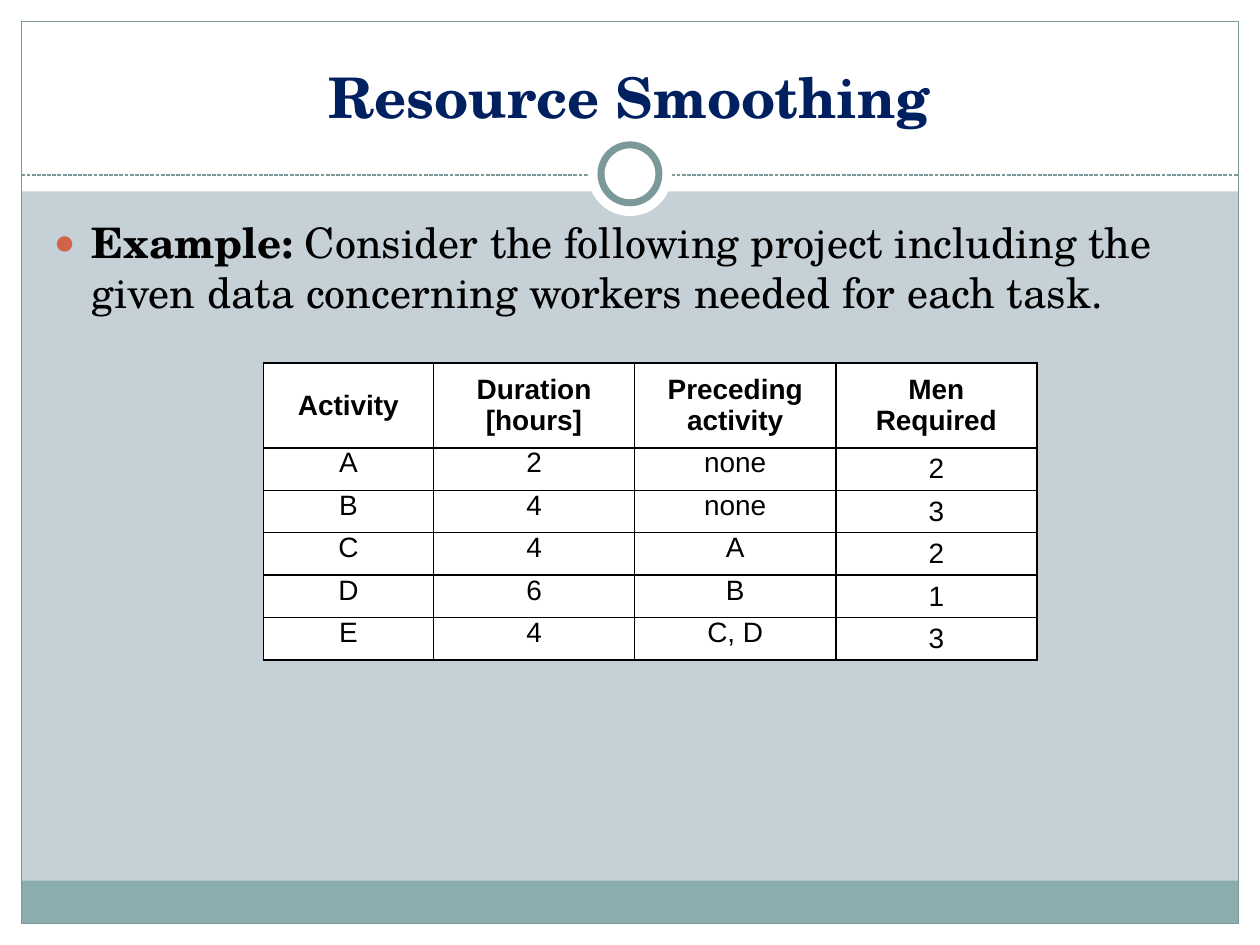
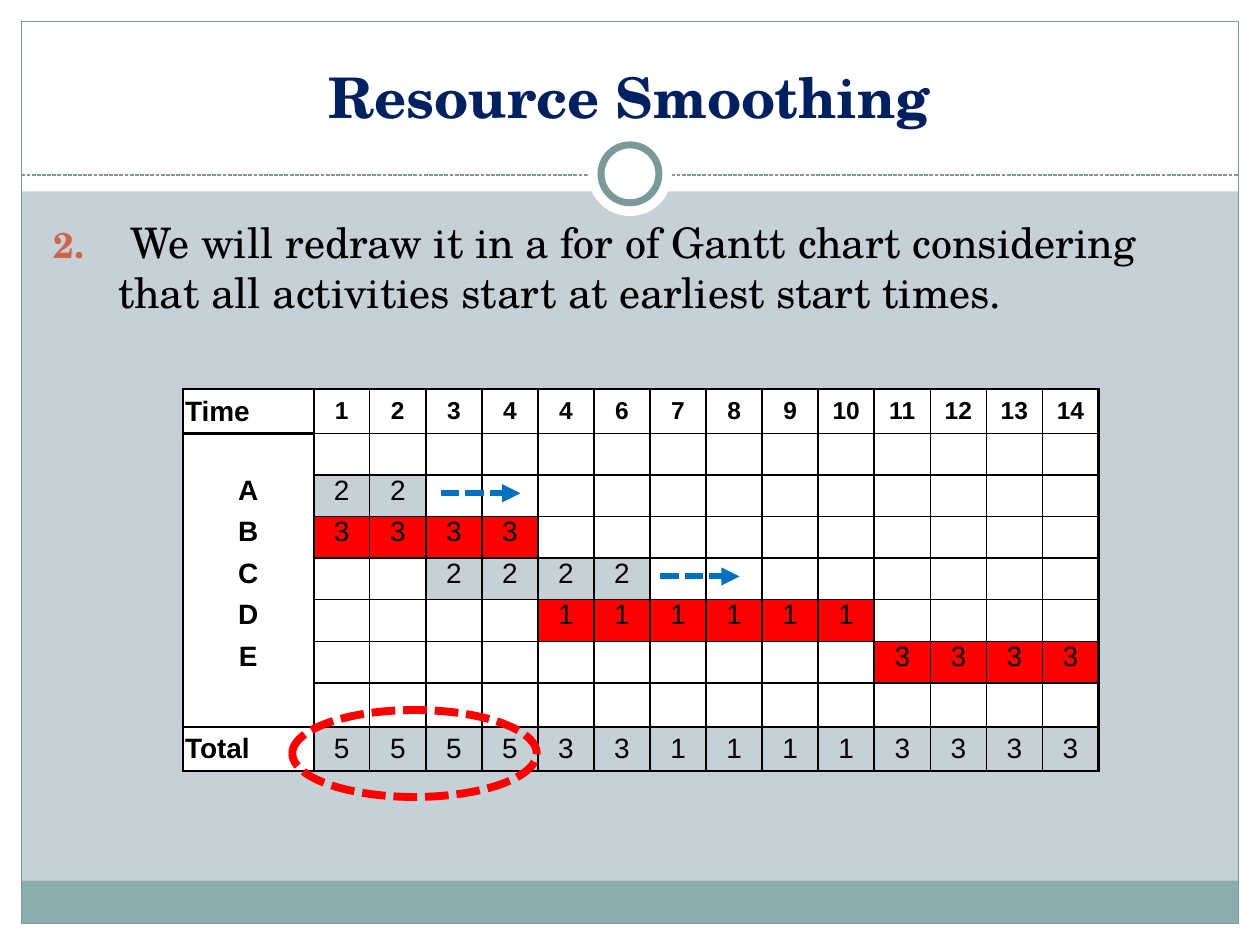
"""Build two slides on resource smoothing: the project data and its Gantt chart."""
from lxml.etree import SubElement
from pptx import Presentation
from pptx.dml.color import RGBColor
from pptx.enum.dml import MSO_LINE
from pptx.enum.shapes import MSO_CONNECTOR, MSO_SHAPE
from pptx.enum.text import MSO_ANCHOR as ANCHOR, PP_ALIGN as ALIGN
from pptx.oxml.ns import qn
from pptx.util import Inches, Pt

TITLE = "Resource Smoothing"
EXAMPLE = [("Example: ", True),
           ("Consider the following project including the given data "
            "concerning workers needed for each task.", False)]
STEP = [(" ", True),
        ("We will redraw it in a for of Gantt chart considering "
         "that all activities start at earliest start times.", False)]
PROJECT = [
    ("Activity", "Duration [hours]", "Preceding activity", "Men\nRequired"),
    ("A", "2", "none", "2"),
    ("B", "4", "none", "3"),
    ("C", "4", "A", "2"),
    ("D", "6", "B", "1"),
    ("E", "4", "C, D", "3"),
]
HOURS = [1, 2, 3, 4, 4, 6, 7, 8, 9, 10, 11, 12, 13, 14]
GANTT = [
    {"name": "A", "start": 0, "hours": 2, "men": 2, "critical": False, "gap": 0.12},
    {"name": "B", "start": 0, "hours": 4, "men": 3, "critical": True},
    {"name": "C", "start": 2, "hours": 4, "men": 2, "critical": False, "gap": 0.08},
    {"name": "D", "start": 4, "hours": 6, "men": 1, "critical": True},
    {"name": "E", "start": 10, "hours": 4, "men": 3, "critical": True},
]
PEAK_HOURS = 4

WIDTH, HEIGHT, MARGIN = 10, 7.5, 0.17
SERIF, SANS = "TeX Gyre Schola", "Arial"
PAPER, WHITE, BLACK, NAVY = "C5D1D7", "FFFFFF", "000000", "002060"
TEAL, BAND, RUST, RED, BLUE = "7C999A", "8CADAE", "D16349", "FF0000", "0070C0"
PLAIN_TABLE = "{2D5ABB26-0587-4C30-8999-92F81FD0307C}"


def color(code):
    return RGBColor.from_string(code)


def paint(target, code):
    if code:
        target.fill.solid()
        target.fill.fore_color.rgb = color(code)
    else:
        target.fill.background()


def stroke(line, code, width, dash=None):
    line.color.rgb = color(code)
    line.width = Pt(width)
    if dash:
        line.dash_style = dash


def write(frame, paragraphs, size=16, font=SANS, ink=BLACK, align=ALIGN.CENTER):
    for index, runs in enumerate(paragraphs):
        paragraph = frame.paragraphs[0] if index == 0 else frame.add_paragraph()
        paragraph.alignment = align
        for words, bold in runs:
            run = paragraph.add_run()
            run.text = words
            run.font.size, run.font.name, run.font.bold = Pt(size), font, bold
            run.font.color.rgb = color(ink)


def text_box(slide, box, runs, anchor=ANCHOR.TOP, **style):
    frame = slide.shapes.add_textbox(*map(Inches, box)).text_frame
    frame.word_wrap = True
    frame.vertical_anchor = anchor
    write(frame, [runs], font=SERIF, **style)
    return frame.paragraphs[0]


def shape(slide, kind, box, fill=None, line=None):
    item = slide.shapes.add_shape(kind, *map(Inches, box))
    item.shadow.inherit = False
    paint(item, fill)
    if line:
        stroke(item.line, *line)
    else:
        item.line.fill.background()


def connect(slide, x1, x2, y, code, width, arrow=False):
    link = slide.shapes.add_connector(
        MSO_CONNECTOR.STRAIGHT, *map(Inches, (x1, y, x2, y)))
    stroke(link.line, code, width, MSO_LINE.SQUARE_DOT)
    properties = link.line._get_or_add_ln()
    if arrow:
        SubElement(properties, qn("a:tailEnd"), type="triangle")
    SubElement(properties.getparent(), qn("a:effectLst"))


def base_slide(deck):
    slide = deck.slides.add_slide(deck.slide_layouts[6])
    paint(slide.background, PAPER)
    inner, floor = WIDTH - 2 * MARGIN, HEIGHT - MARGIN
    for box, fill, line in [
        ((0, floor, WIDTH, MARGIN), WHITE, None),
        ((0, 0, WIDTH, 1.52), WHITE, None),
        ((0, 0, MARGIN, HEIGHT), WHITE, None),
        ((WIDTH - MARGIN, 0, MARGIN, HEIGHT), WHITE, None),
        ((MARGIN, floor - 0.34, inner, 0.34), BAND, None),
        ((MARGIN, MARGIN, inner, floor - MARGIN), None, (TEAL, 0.75)),
    ]:
        shape(slide, MSO_SHAPE.RECTANGLE, box, fill, line)
    connect(slide, MARGIN, WIDTH - MARGIN, 1.39, TEAL, 0.75)
    for size, line in [(0.67, None), (0.46, (TEAL, 4))]:
        ring = ((WIDTH - size) / 2, 1.38 - size / 2, size, size)
        shape(slide, MSO_SHAPE.OVAL, ring, WHITE, line)
    text_box(slide, (0.33, 0.25, 9.33, 0.83), [(TITLE, True)],
             anchor=ANCHOR.BOTTOM, size=32, ink=NAVY)
    return slide


def body(slide, runs, indent, bullet, font, **marker):
    paragraph = text_box(slide, (0.33, 1.67, 9.36, 5), runs, size=24, align=ALIGN.LEFT)
    paragraph.space_before = Pt(5)
    properties = paragraph._p.get_or_add_pPr()
    properties.set("marL", str(Inches(indent)))
    properties.set("indent", str(-Inches(indent)))
    SubElement(SubElement(properties, qn("a:buClr")), qn("a:srgbClr"), val=RUST)
    SubElement(properties, qn("a:buSzPct"), val="85000")
    SubElement(properties, qn("a:buFont"), typeface=font)
    SubElement(properties, qn(bullet), **marker)


def add_grid(slide, left, top, widths, heights):
    frame = slide.shapes.add_table(
        len(heights), len(widths),
        *map(Inches, (left, top, sum(widths), sum(heights))))
    table = frame.table
    table.first_row = table.horz_banding = False
    table._tbl.tblPr.find(qn("a:tableStyleId")).text = PLAIN_TABLE
    for column, width in zip(table.columns, widths):
        column.width = Inches(width)
    for row, height in zip(table.rows, heights):
        row.height = Inches(height)
    return table


def fill_cell(cell, words=None, borders=(), inset=0.02, fill=WHITE, bold=False,
              middle=False, **style):
    properties = cell._tc.get_or_add_tcPr()
    for side, width in zip("LRTB", borders):
        edge = SubElement(properties, qn("a:ln" + side), w=str(Pt(width)))
        if width:
            SubElement(SubElement(edge, qn("a:solidFill")), qn("a:srgbClr"), val=BLACK)
        else:
            SubElement(edge, qn("a:noFill"))
    paint(cell, fill)
    cell.margin_left = cell.margin_right = Inches(inset)
    cell.margin_top = cell.margin_bottom = 0
    cell.vertical_anchor = ANCHOR.MIDDLE if middle else ANCHOR.TOP
    if words:
        write(cell.text_frame, [[(part, bold)] for part in words.split("\n")], **style)
    else:
        cell.text_frame.paragraphs[0].font.size = Pt(12)


def project_slide(deck):
    slide = base_slide(deck)
    body(slide, EXAMPLE, 0.3, "a:buChar", SANS, char="●")
    unit = 2.36 / (len(PROJECT) + 1)
    heights = [2 * unit] + [unit] * (len(PROJECT) - 1)
    widths = [1.35] + [(6.14 - 1.35) / 3] * 3
    table = add_grid(slide, 2.09, 2.88, widths, heights)
    for r, record in enumerate(PROJECT):
        for c, words in enumerate(record):
            fill_cell(table.cell(r, c), words, (1, 1, 1, 1), 0.05, bold=r == 0,
                      middle=r == 0 or c == len(record) - 1)


def men_at(task, hour):
    working = task["start"] <= hour < task["start"] + task["hours"]
    return task["men"] if working else 0


def gantt_slide(deck):
    slide = base_slide(deck)
    body(slide, STEP, 0.51, "a:buAutoNum", SERIF, type="arabicPeriod", startAt="2")
    left, top, side, label, hour_width = 0.91, 2.81, 0.54, 1.04, 0.445
    heights = [0.28, 0.35] + [0.33] * (len(GANTT) + 1) + [0.35, 0.35]
    widths = [side, label] + [hour_width] * len(HOURS) + [0.38]
    table = add_grid(slide, left, top, widths, heights)
    head, last = 1, len(heights) - 1
    tasks = dict(enumerate(GANTT, 3))
    names = {head: "Time", last: "Total"} | {r: task["name"] for r, task in tasks.items()}

    for c in range(len(widths)):
        fill_cell(table.cell(0, c), fill=None)
    for r in range(head, len(heights)):
        for c in (0, len(widths) - 1):
            fill_cell(table.cell(r, c), fill=None)
        edge = r in (head, last)
        fill_cell(table.cell(r, 1), names.get(r),
                  (1.5, 1.5, 1.5 if edge or r == head + 1 else 0,
                   1.5 if edge or r == last - 1 else 0),
                  bold=True, middle=edge,
                  align=ALIGN.LEFT if edge else ALIGN.CENTER)
        for hour, heading in enumerate(HOURS):
            fill, number = WHITE, 0
            if r == head:
                number = heading
            elif r == last:
                fill, number = None, sum(men_at(task, hour) for task in GANTT)
            elif r in tasks:
                number = men_at(tasks[r], hour)
                if number:
                    fill = RED if tasks[r]["critical"] else None
            borders = (1.5 if hour == 0 else 1,
                       1.5 if hour == len(HOURS) - 1 else 1,
                       1.5 if r == head else 1,
                       1.5 if r == last else 1)
            fill_cell(table.cell(r, hour + 2), str(number) if number else None,
                      borders, fill=fill, bold=r == head, middle=edge,
                      size=14 if r == head else 16)

    first_hour = left + side + label
    total_middle = top + sum(heights) - heights[-1] / 2
    shape(slide, MSO_SHAPE.OVAL,
          (first_hour - 0.17, total_middle - 0.31, PEAK_HOURS * hour_width + 0.16, 0.69),
          line=(RED, 4.5, MSO_LINE.SQUARE_DOT))
    for r, task in tasks.items():
        if not task["critical"]:
            x = first_hour + (task["start"] + task["hours"]) * hour_width + task["gap"]
            y = top + sum(heights[:r]) + heights[r] / 2 - 0.02
            connect(slide, x, x + 0.63, y, BLUE, 3.5, arrow=True)


def main():
    deck = Presentation()
    deck.slide_width, deck.slide_height = Inches(WIDTH), Inches(HEIGHT)
    project_slide(deck)
    gantt_slide(deck)
    deck.save("out.pptx")


if __name__ == "__main__":
    main()
